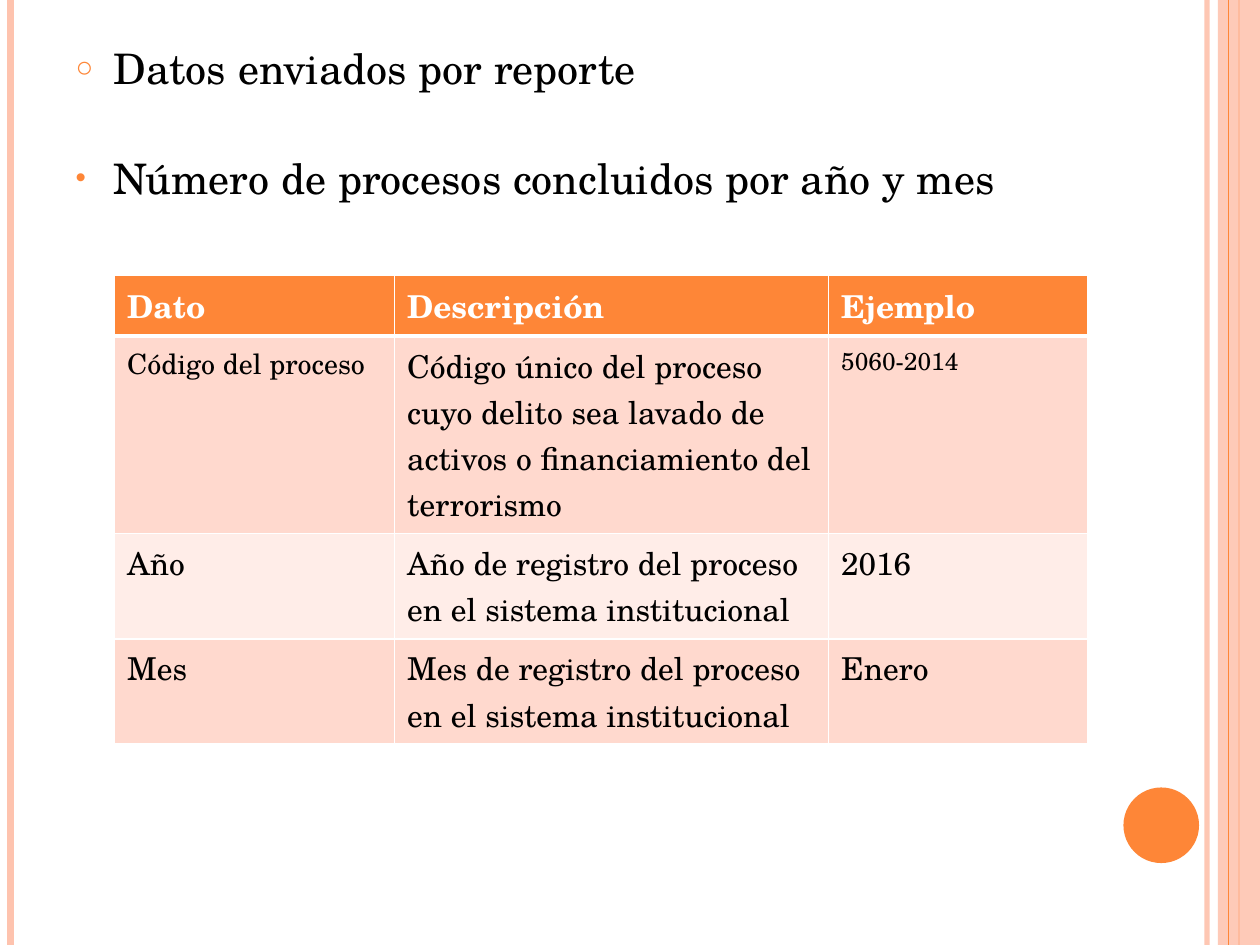
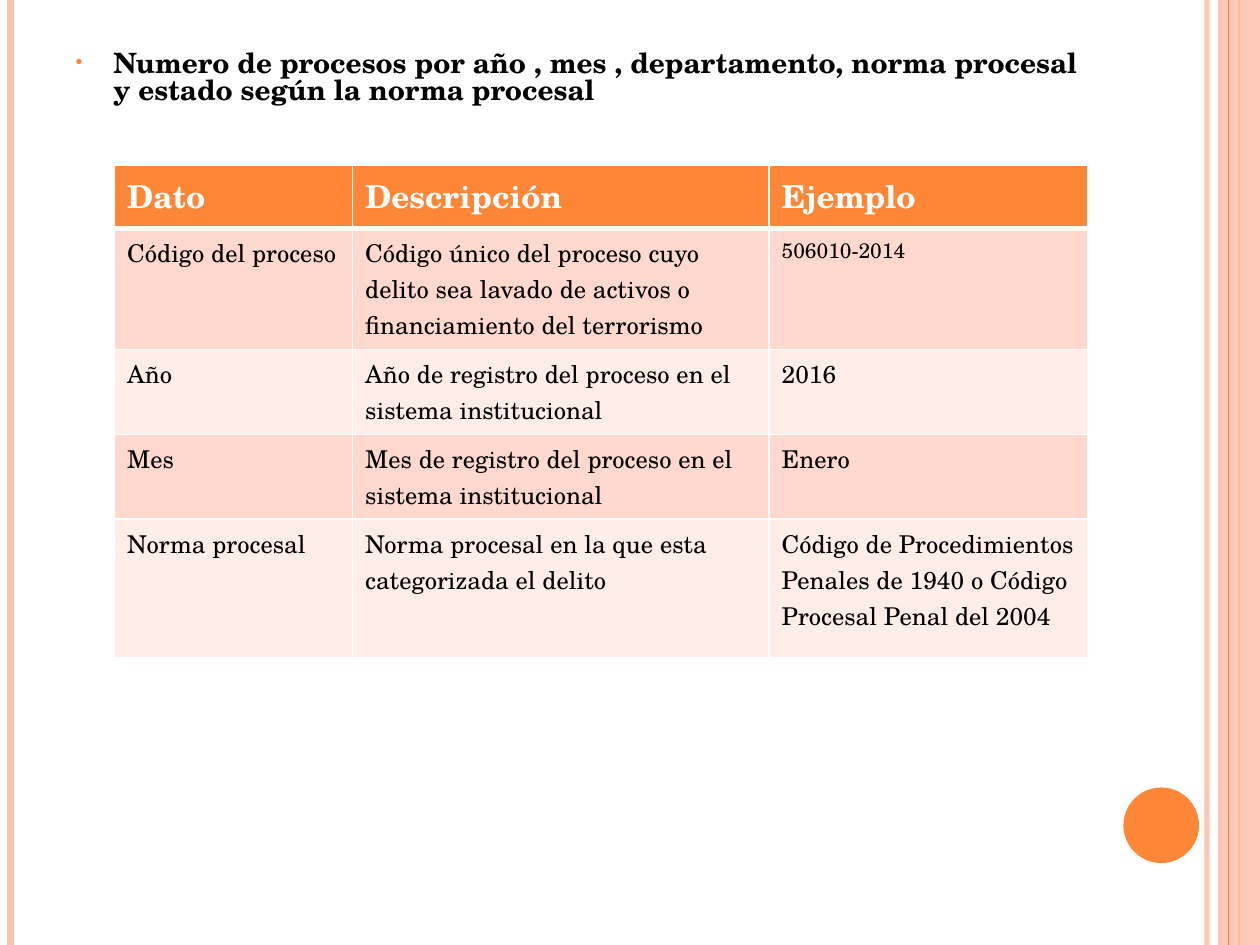
from lxml import etree
from pptx import Presentation
from pptx.dml.color import RGBColor
from pptx.enum.shapes import MSO_CONNECTOR, MSO_SHAPE
from pptx.enum.text import MSO_ANCHOR, MSO_AUTO_SIZE
from pptx.oxml.ns import qn
from pptx.util import Pt

STRAIGHT = MSO_CONNECTOR.STRAIGHT
RECTANGLE, OVAL = MSO_SHAPE.RECTANGLE, MSO_SHAPE.OVAL
TOP = MSO_ANCHOR.TOP
NO_AUTOFIT = MSO_AUTO_SIZE.NONE

ORANGE = RGBColor(0xFE, 0x86, 0x37)
PEACH = RGBColor(0xFE, 0xC3, 0xAE)
DARK_BAND = RGBColor(0xFF, 0xD9, 0xCE)
LIGHT_BAND = RGBColor(0xFF, 0xED, 0xE8)
BLACK = RGBColor(0, 0, 0)
WHITE = RGBColor(0xFF, 0xFF, 0xFF)
FONT = "TeX Gyre Schola"
WIDTH, HEIGHT = 720, 540

# Vertical rules: x, colour, width, opacity in percent
RULES_BEHIND = [(689.75, PEACH, 3, 93), (6, PEACH, 4.5, 100), (708, ORANGE, 1.5, 100)]
RULES_IN_FRONT = [(702, ORANGE, 0.75, 100)]

# Content
HEADER = ["Dato", "Descripción", "Ejemplo"]
CODE = ["Código del proceso",
        "Código único del proceso cuyo delito sea lavado de activos o "
        "financiamiento del terrorismo"]
YEAR = ["Año", "Año de registro del proceso en el sistema institucional", "2016"]
MONTH = ["Mes", "Mes de registro del proceso en el sistema institucional", "Enero"]
RULE = ["Norma procesal", "Norma procesal en la que esta categorizada el delito",
        "Código de Procedimientos Penales de 1940 o Código Procesal Penal del 2004"]

SLIDES = [
    {
        # Bullet, text, space before
        "bullets": [("○", "Datos enviados por reporte", 6),
                    ("•", "Número de procesos concluidos por año y mes", 40)],
        "bullet_size": 24, "bold": False,
        "table_top": 157, "columns": [160, 248, 148], "rows": [29.5] * 4,
        "cells": [HEADER, CODE + ["5060-2014"], YEAR, MONTH],
        "cell_size": 18, "code_sizes": [16, 18, 14],
    },
    {
        "bullets": [("•", "Numero de procesos por año , mes , departamento, norma procesal "
                          "y estado según la norma procesal", 6)],
        "bullet_size": 16, "bold": True,
        "table_top": 94.5, "columns": [136, 238, 182], "rows": [36, 65.5, 28, 28, 79],
        "cells": [HEADER, CODE + ["506010-2014"], YEAR, MONTH, RULE],
        "cell_size": 14, "code_sizes": [14, 14, 12],
    },
]


def add_rules(slide, rules):
    for x, color, width, opacity in rules:
        rule = slide.shapes.add_connector(STRAIGHT, Pt(x), 0, Pt(x), Pt(HEIGHT))
        rule.line.color.rgb = color
        rule.line.width = Pt(width)
        etree.SubElement(rule._element.spPr, qn("a:effectLst"))
        if opacity < 100:
            set_opacity(rule, opacity)


def set_opacity(shape, percent):
    color = shape._element.spPr.find(".//" + qn("a:srgbClr"))
    etree.SubElement(color, qn("a:alpha"), val=str(percent * 1000))


presentation = Presentation()
presentation.slide_width, presentation.slide_height = Pt(WIDTH), Pt(HEIGHT)

for content in SLIDES:
    slide = presentation.slides.add_slide(presentation.slide_layouts[1])
    title = slide.shapes.title._element
    title.getparent().remove(title)

    # Side bands and page circle
    add_rules(slide, RULES_BEHIND)
    band = slide.shapes.add_shape(RECTANGLE, Pt(696), 0, Pt(24), Pt(HEIGHT))
    add_rules(slide, RULES_IN_FRONT)
    circle = slide.shapes.add_shape(OVAL, Pt(642), Pt(450), Pt(43.2), Pt(43.2))
    for shape, color in [(band, PEACH), (circle, ORANGE)]:
        shape.shadow.inherit = False
        shape.fill.solid()
        shape.fill.fore_color.rgb = color
        shape.line.fill.background()
    set_opacity(band, 87)

    # Bulleted text
    body = slide.placeholders[1]
    body.left, body.top, body.width, body.height = Pt(36), Pt(26), Pt(588), Pt(484)
    frame = body.text_frame
    frame.auto_size = NO_AUTOFIT
    frame.text = "\n".join(text for _, text, _ in content["bullets"])
    for paragraph, (bullet, _, space) in zip(frame.paragraphs, content["bullets"]):
        paragraph.line_spacing = 0.8
        paragraph.space_before = Pt(space)
        paragraph.font.name = FONT
        paragraph.font.size = Pt(content["bullet_size"])
        paragraph.font.bold = content["bold"]
        paragraph.font.color.rgb = BLACK
        properties = paragraph._p.get_or_add_pPr()
        properties.set("marL", str(Pt(21.6)))
        properties.set("indent", str(-Pt(21.6)))
        bullet_color = etree.Element(qn("a:buClr"))
        etree.SubElement(bullet_color, qn("a:srgbClr"), val=str(ORANGE))
        bullet_size = etree.Element(qn("a:buSzPct"), val="70000")
        bullet_character = etree.Element(qn("a:buChar"), char=bullet)
        for element in (bullet_color, bullet_size, bullet_character):
            properties.find(qn("a:defRPr")).addprevious(element)

    # Data table
    columns, rows = content["columns"], content["rows"]
    table = slide.shapes.add_table(
        len(rows), len(columns), Pt(65.5), Pt(content["table_top"]),
        Pt(sum(columns)), Pt(sum(rows))).table
    for column, width in zip(table.columns, columns):
        column.width = Pt(width)
    for row_index, texts in enumerate(content["cells"]):
        table.rows[row_index].height = Pt(rows[row_index])
        is_header = row_index == 0
        if is_header:
            fill, sizes = ORANGE, [18] * 3
        else:
            fill = DARK_BAND if row_index % 2 else LIGHT_BAND
            sizes = content["code_sizes"] if row_index == 1 else [content["cell_size"]] * 3
        for column_index, text in enumerate(texts):
            cell = table.cell(row_index, column_index)
            cell.text = text
            cell.vertical_anchor = TOP
            font = cell.text_frame.paragraphs[0].font
            font.name, font.size, font.bold = FONT, Pt(sizes[column_index]), is_header
            font.color.rgb = WHITE if is_header else BLACK

            # White borders, thicker under the header
            cell_properties = cell._tc.get_or_add_tcPr()
            for side in "LRTB":
                thick = (is_header and side == "B") or (row_index == 1 and side == "T")
                border = etree.SubElement(cell_properties, qn("a:ln" + side),
                                          w=str(Pt(3 if thick else 1)))
                border_fill = etree.SubElement(border, qn("a:solidFill"))
                etree.SubElement(border_fill, qn("a:srgbClr"), val=str(WHITE))
            cell.fill.solid()
            cell.fill.fore_color.rgb = fill

presentation.save("out.pptx")
